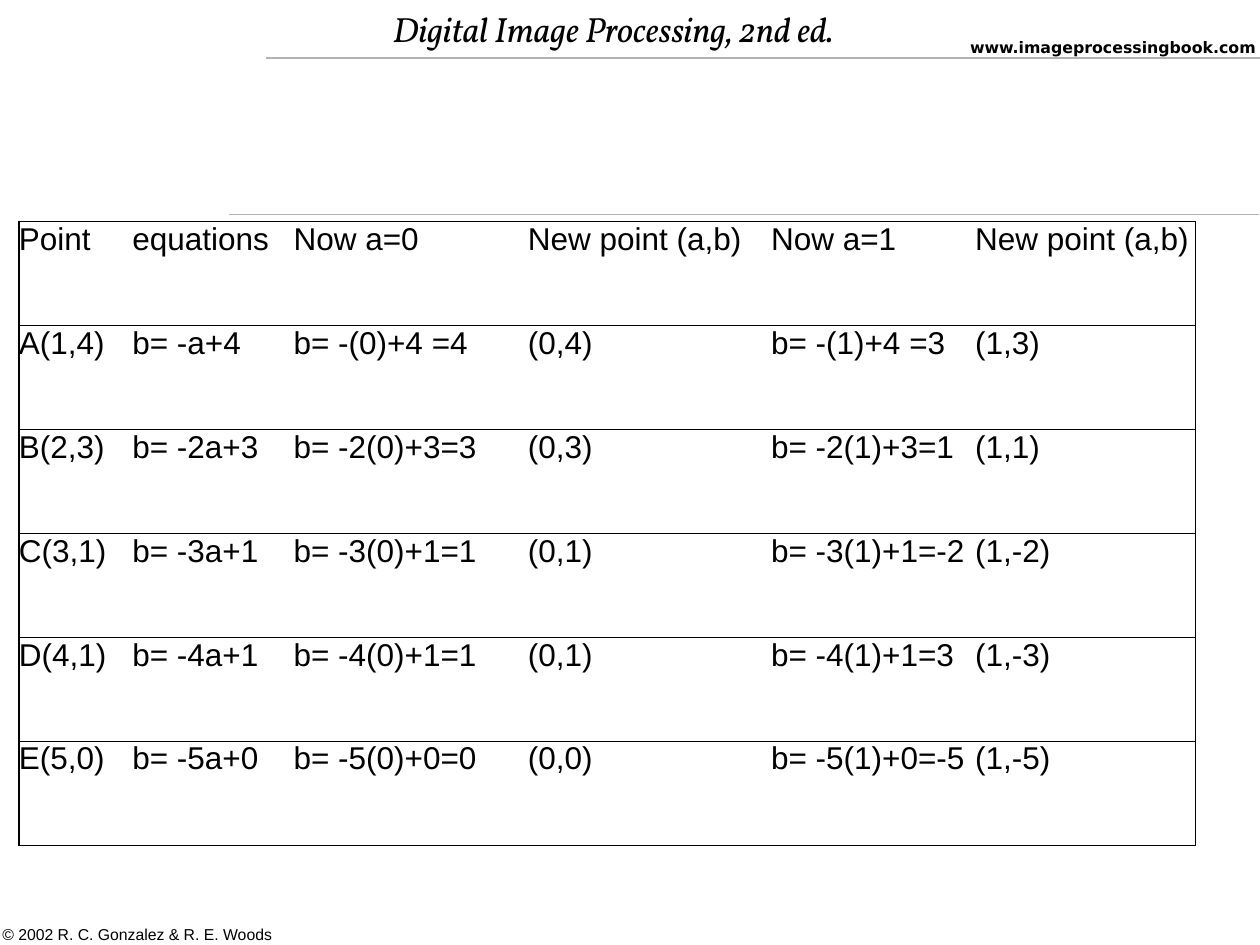
from lxml import etree
from pptx import Presentation, util as u
from pptx.dml.color import RGBColor
from pptx.enum import shapes
from pptx.oxml import parse_xml
from pptx.oxml.ns import qn, nsdecls

BLACK, WHITE, GREY = "000000", "FFFFFF", "B2B2B2"
COLS = [0.9, 1.28, 1.86, 1.93, 1.62, 1.75]
ROWS = [
    ["Point", "equations", "Now a=0", "New point (a,b)", "Now a=1", "New point (a,b)"],
    ["A(1,4)", "b= -a+4", "b= -(0)+4 =4", "(0,4)", "b= -(1)+4 =3", "(1,3)"],
    ["B(2,3)", "b= -2a+3", "b= -2(0)+3=3", "(0,3)", "b= -2(1)+3=1", "(1,1)"],
    ["C(3,1)", "b= -3a+1", "b= -3(0)+1=1", "(0,1)", "b= -3(1)+1=-2", "(1,-2)"],
    ["D(4,1)", "b= -4a+1", "b= -4(0)+1=1", "(0,1)", "b= -4(1)+1=3", "(1,-3)"],
    ["E(5,0)", "b= -5a+0", "b= -5(0)+0=0", "(0,0)", "b= -5(1)+0=-5", "(1,-5)"],
]


def rgb(code):
    return RGBColor.from_string(code)


def style(run, size, name, **extra):
    for key, value in {"size": u.Pt(size), "name": name, **extra}.items():
        setattr(run.font, key, value)
    run.font.color.rgb = rgb(BLACK)


def label(slide, box, words, size, name, **extra):
    frame = slide.shapes.add_textbox(*map(u.Inches, box)).text_frame
    frame.word_wrap = True
    run = frame.paragraphs[0].add_run()
    run.text = words
    style(run, size, name, **extra)
    return run


def rule(slide, left, right, y):
    line = slide.shapes.add_connector(
        shapes.MSO_CONNECTOR.STRAIGHT, *map(u.Inches, (right, y, left, y)))
    line.line.color.rgb = rgb(GREY)
    line.line.width = u.Pt(0.75)
    etree.SubElement(line._element.spPr, qn("a:effectLst"))


def shade(run):
    """Give the run a soft grey text shadow."""
    glow = parse_xml(
        f'<a:effectLst {nsdecls("a")}><a:outerShdw dist="35921" dir="2700000">'
        f'<a:srgbClr val="{GREY}"/></a:outerShdw></a:effectLst>')
    run.font._element.find(qn("a:solidFill")).addnext(glow)


def edge(cell, sides):
    """Draw the named sides in black and clear the others."""
    for spot, side in enumerate("LRTB"):
        fill = (f'<a:solidFill><a:srgbClr val="{BLACK}"/></a:solidFill>'
                if side in sides else "<a:noFill/>")
        line = parse_xml(f'<a:ln{side} {nsdecls("a")} w="{u.Pt(1)}">{fill}</a:ln{side}>')
        cell._tc.get_or_add_tcPr().insert(spot, line)


def header(slide, left, top):
    title = label(slide, (left, top, 3.98, 0.43), "Digital Image Processing, 2nd ed.",
                  20, "Vollkorn", italic=True)
    shade(title)
    label(slide, (left + 4.58, top + 0.24, 2.82, 0.25), "www.imageprocessingbook.com",
          9, "DejaVu Sans", bold=True)
    rule(slide, 1.82, 9.99, 1.7)
    rule(slide, 2.11, 10, 0.46)


def footer(slide, box):
    run = label(slide, box, "© 2002 R. C. Gonzalez & R. E. Woods", 9, "Arial")
    # The larger closing space sets the line height
    tail = slide.shapes[-1].text_frame.paragraphs[0].add_run()
    tail.text = " "
    style(tail, 24, "Times New Roman")
    return run


def grid(slide, left, top, high):
    box = (left, top, sum(COLS), high * len(ROWS))
    table = slide.shapes.add_table(len(ROWS), len(COLS), *map(u.Inches, box)).table
    table.first_row = table.horz_banding = False
    for col, wide in zip(table.columns, COLS):
        col.width = u.Inches(wide)
    for row, words in zip(table.rows, ROWS):
        row.height = u.Inches(high)
        for spot, (cell, word) in enumerate(zip(row.cells, words)):
            for side in ("left", "right", "top", "bottom"):
                setattr(cell, f"margin_{side}", 0)
            cell.fill.solid()
            cell.fill.fore_color.rgb = rgb(WHITE)
            edge(cell, "TB" + {0: "L", len(COLS) - 1: "R"}.get(spot, ""))
            run = cell.text_frame.paragraphs[0].add_run()
            run.text = word
            style(run, 18, "Arial")


def main():
    deck = Presentation()
    deck.slide_width, deck.slide_height = u.Inches(10), u.Inches(7.5)
    slide = deck.slides.add_slide(deck.slide_layouts[6])
    header(slide, 3.02, 0.01)
    footer(slide, (-0.08, 7.08, 2.43, 0.5))
    grid(slide, 0.15, 1.76, 0.825)
    deck.save("out.pptx")


if __name__ == "__main__":
    main()
